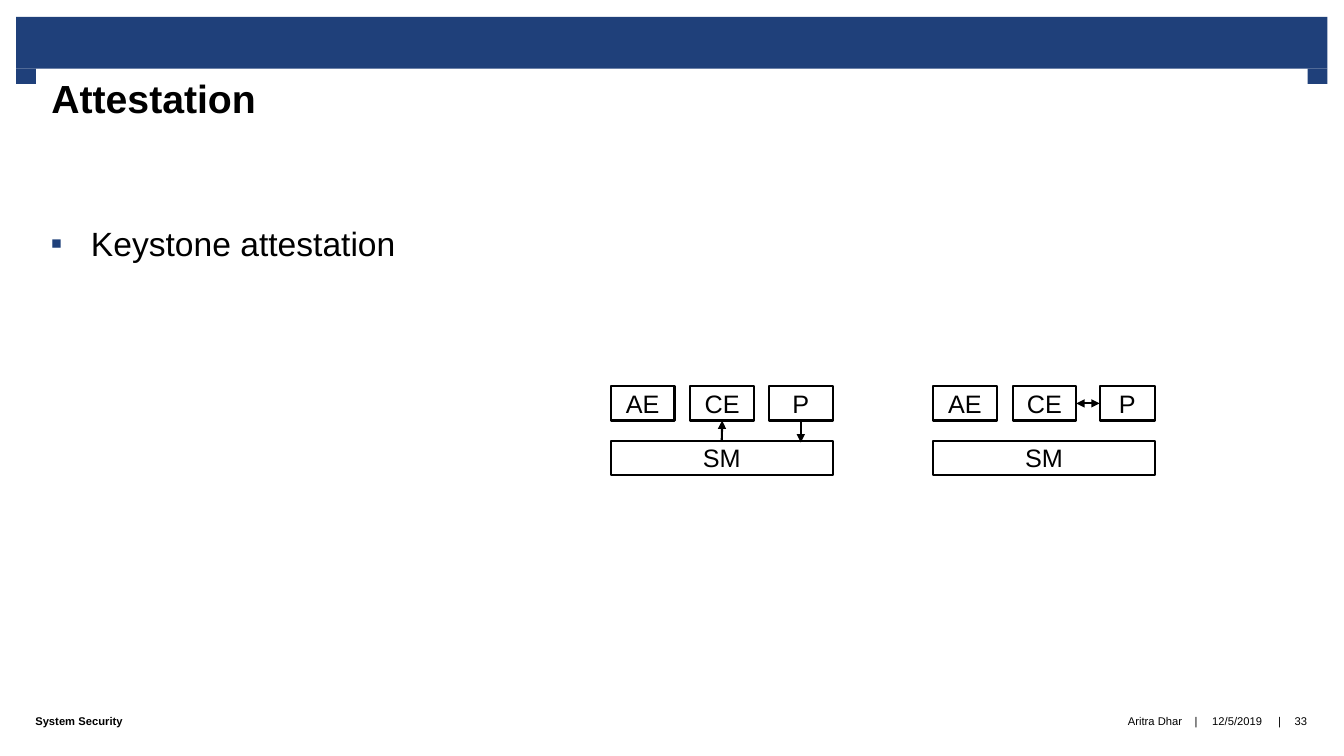
from pptx import Presentation
from pptx.dml.color import RGBColor
from pptx.enum.shapes import MSO_CONNECTOR as Connector, MSO_SHAPE as Shape
from pptx.enum.text import MSO_ANCHOR as Anchor, PP_ALIGN as Align
from pptx.oxml.ns import qn
from pptx.util import Pt
from lxml.etree import SubElement

BLUE, BLACK, WHITE = "1F407A", "000000", "FFFFFF"
TOP, BOTTOM, SIDE = 0, 2, (1, 3)
BOX_WIDTH, BOX_HEIGHT, BOX_PITCH = 45.5, 24.5, 56.8
SM_WIDTH, ROW_TOP, SM_TOP = 158.5, 275.9, 314.8


def color(hex_code):
    return RGBColor.from_string(hex_code)


def write(shape, text, size, bold=False, align=Align.LEFT, anchor=Anchor.MIDDLE,
          margins=(0, 0, 0, 0)):
    """Put one formatted paragraph into a shape and return the paragraph."""
    frame = shape.text_frame
    left, top, right, bottom = (Pt(margin) for margin in margins)
    layout = {"word_wrap": True, "vertical_anchor": anchor, "margin_left": left,
              "margin_top": top, "margin_right": right, "margin_bottom": bottom}
    for name, value in layout.items():
        setattr(frame, name, value)
    para = frame.paragraphs[0]
    para.alignment = align
    span = para.add_run()
    span.text = text
    for name, value in {"size": Pt(size), "name": "Arial", "bold": bold}.items():
        setattr(span.font, name, value)
    span.font.color.rgb = color(BLACK)
    return para


def add_rectangle(page, left, top, width, height, fill):
    box = page.shapes.add_shape(Shape.RECTANGLE, Pt(left), Pt(top), Pt(width), Pt(height))
    box.shadow.inherit = False
    box.fill.solid()
    box.fill.fore_color.rgb = color(fill)
    box.line.fill.background()
    return box


def add_box(page, label, left, top, width):
    box = add_rectangle(page, left, top, width, BOX_HEIGHT, WHITE)
    box.line.color.rgb = color(BLACK)
    box.line.width = Pt(1.5)
    write(box, label, 18, align=Align.CENTER)
    return box


def add_arrow(page, start, end, heads=("tailEnd",)):
    """Draw an arrow; each end is a (box, side) pair or an (x, y) point."""
    arrow = page.shapes.add_connector(Connector.STRAIGHT, 0, 0, 0, 0)
    arrow.begin_connect(*start)
    if isinstance(end[0], (int, float)):
        arrow.end_x, arrow.end_y = (Pt(value) for value in end)
    else:
        arrow.end_connect(*end)
    arrow.line.color.rgb = color(BLACK)
    arrow.line.width = Pt(1.5)
    for head in heads:
        SubElement(arrow.line._get_or_add_ln(), qn(f"a:{head}"), type="triangle")
    SubElement(arrow._element.spPr, qn("a:effectLst"))


def add_text(page, text, left, top, width, height, size, **style):
    box = page.shapes.add_textbox(Pt(left), Pt(top), Pt(width), Pt(height))
    return write(box, text, size, **style)


def add_title(page, text):
    title = page.shapes.title
    place = {"left": 25.2, "top": 49, "width": 908.6, "height": 76.3}
    for name, value in place.items():
        setattr(title, name, Pt(value))
    title.fill.solid()
    title.fill.fore_color.rgb = color(WHITE)
    write(title, text, 28, bold=True, anchor=Anchor.TOP, margins=(11.5, 4.3, 11.5, 0))


def add_bullet(page, text):
    para = add_text(page, text, 25.2, 159.1, 908.6, 331.2, 24,
                    anchor=Anchor.TOP, margins=(11, 0, 11.5, 0))
    para.space_before = Pt(5)
    props = para._p.get_or_add_pPr()
    props.set("marL", str(Pt(28.8)))
    props.set("indent", str(-Pt(28.8)))
    SubElement(SubElement(props, qn("a:buClr")), qn("a:srgbClr"), val=BLUE)
    SubElement(props, qn("a:buFont"), typeface="Arial")
    SubElement(props, qn("a:buChar"), char="▪")


def add_header(page):
    add_rectangle(page, 11.5, 12, 936.7, 37, BLUE)
    for left in (11.5, 934):
        add_rectangle(page, left, 49, 14.2, 11, BLUE)


def add_footer(page):
    items = (("System Security", 25.2, 454.3, Align.LEFT, True),
             ("Aritra Dhar", 479.5, 365, Align.RIGHT, False),
             ("|", 848.9, 10.8, Align.CENTER, False),
             ("12/5/2019", 859.7, 48.2, Align.CENTER, False),
             ("|", 908.6, 10.8, Align.CENTER, False),
             ("33", 915.1, 28.1, Align.CENTER, False))
    for text, left, width, align, bold in items:
        add_text(page, text, left, 496.8, width, 36, 8, align=align, bold=bold)


def add_stack(page, left, p_width):
    """Draw AE, CE and P above SM, with P flush to the right edge of SM."""
    add_box(page, "AE", left, ROW_TOP, BOX_WIDTH)
    monitor = add_box(page, "SM", left, SM_TOP, SM_WIDTH)
    enclave = add_box(page, "CE", left + BOX_PITCH, ROW_TOP, BOX_WIDTH)
    process = add_box(page, "P", left + SM_WIDTH - p_width, ROW_TOP, p_width)
    return monitor, enclave, process


def main():
    deck = Presentation()
    deck.slide_width, deck.slide_height = Pt(960), Pt(540)
    page = deck.slides.add_slide(deck.slide_layouts[5])
    add_title(page, "Attestation")
    add_header(page)
    add_footer(page)

    monitor, enclave, process = add_stack(page, 436.3, BOX_WIDTH)
    add_arrow(page, (process, BOTTOM), (436.3 + SM_WIDTH - BOX_WIDTH / 2, SM_TOP + 1.3))
    add_arrow(page, (monitor, TOP), (enclave, BOTTOM))

    monitor, enclave, process = add_stack(page, 666.5, 39.5)
    left_side, right_side = SIDE
    add_arrow(page, (enclave, right_side), (process, left_side), ("headEnd", "tailEnd"))

    add_bullet(page, "Keystone attestation")
    deck.save("out.pptx")


if __name__ == "__main__":
    main()
